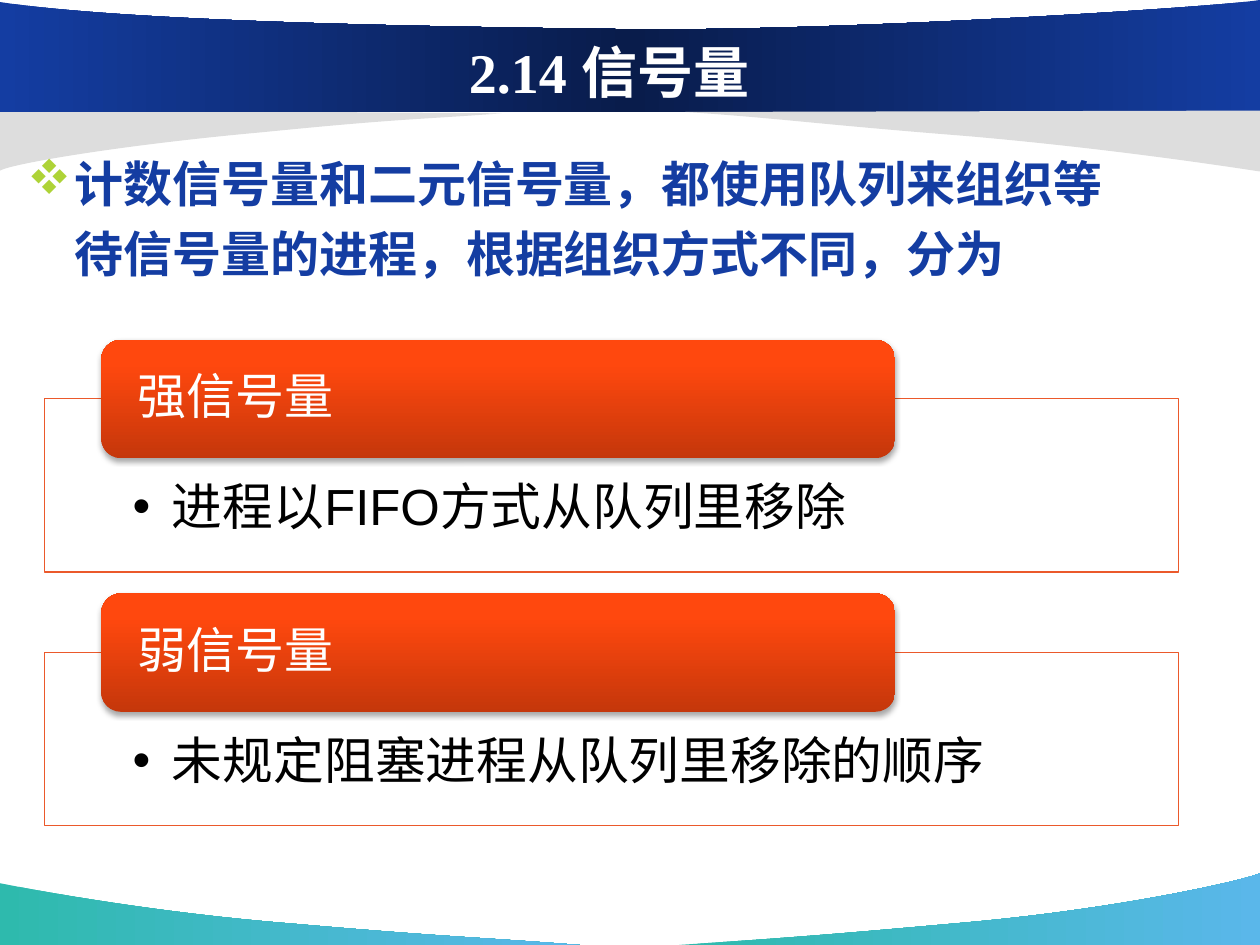
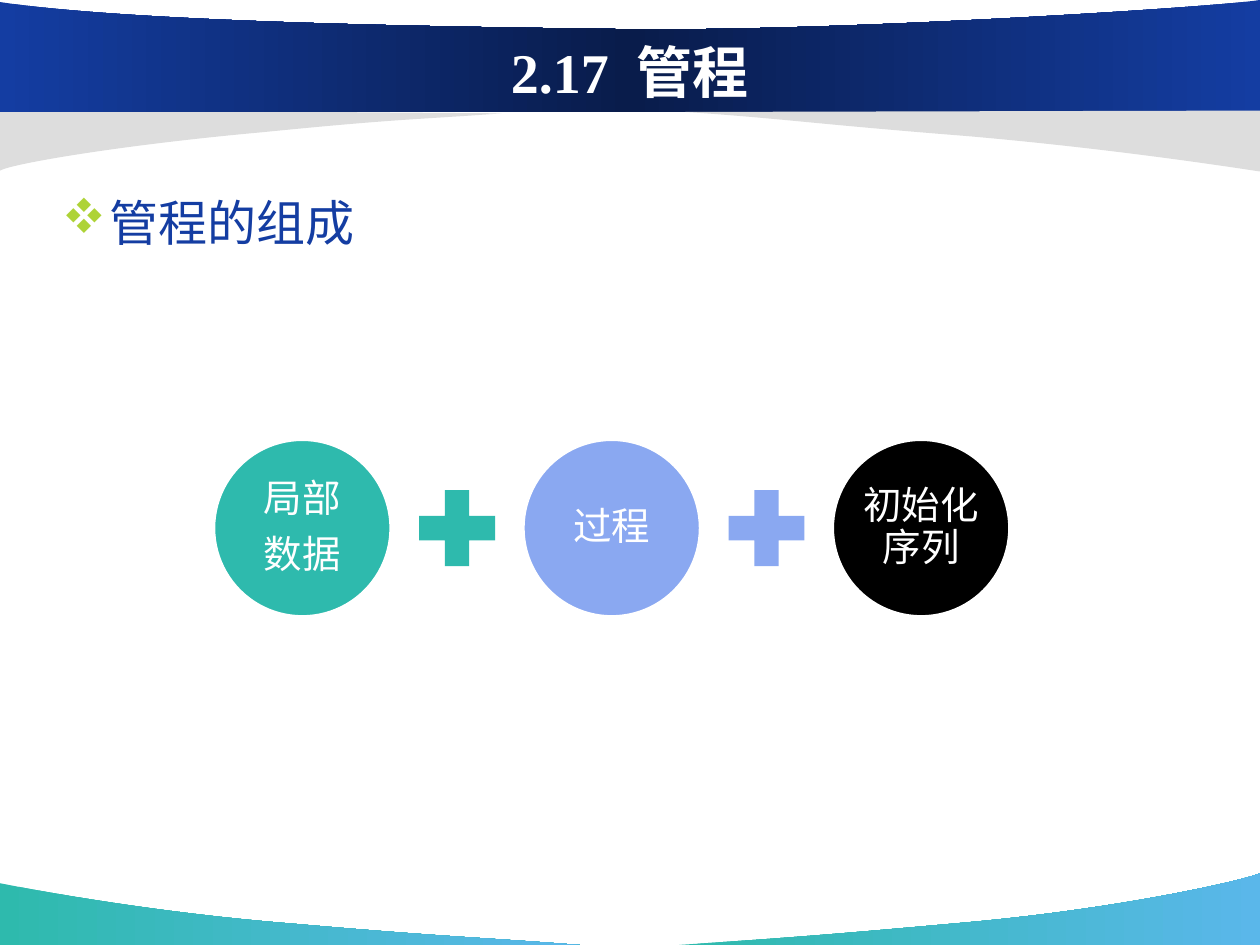
from lxml import etree
from pptx import Presentation
from pptx.dml.color import RGBColor
from pptx.enum.shapes import MSO_SHAPE
from pptx.enum.text import MSO_ANCHOR, PP_ALIGN
from pptx.oxml.ns import qn
from pptx.util import Pt

RECT, ROUNDED = MSO_SHAPE.RECTANGLE, MSO_SHAPE.ROUNDED_RECTANGLE
OVAL, PLUS = MSO_SHAPE.OVAL, MSO_SHAPE.MATH_PLUS
LEFT, CENTER = PP_ALIGN.LEFT, PP_ALIGN.CENTER
TOP, MIDDLE = MSO_ANCHOR.TOP, MSO_ANCHOR.MIDDLE

COLORS = {
    "white": "FFFFFF", "black": "000000", "blue": "143DA2", "navy": "091C4B",
    "teal": "2EBAAD", "sky": "5AB7EA", "gray": "DDDDDD", "lime": "AED337",
    "periwinkle": "8AA8F1", "rust": "C5370B", "orange": "FF480E",
    "bright": "FF4910", "outline": "EB592B",
}
RGB = {name: RGBColor.from_string(value) for name, value in COLORS.items()}


def paint(sp, stops, angle=0):
    sp.shadow.inherit = False
    sp.line.fill.background()
    if len(stops) == 1:
        sp.fill.solid()
        sp.fill.fore_color.rgb = RGB[stops[0][1]]
        return
    sp.fill.gradient()
    sp.fill.gradient_angle = angle
    gs_list = sp._element.spPr.find(qn("a:gradFill")).find(qn("a:gsLst"))
    for gs in list(gs_list):
        gs_list.remove(gs)
    for pos, color in stops:
        gs = etree.SubElement(gs_list, qn("a:gs"), pos=str(pos * 1000))
        etree.SubElement(gs, qn("a:srgbClr"), val=COLORS[color])


def write(sp, text, size, color, anchor=TOP, align=LEFT, spacing=None, after=0,
          insets=(7.2, 3.6, 7.2, 3.6), font="Arial", bold=False, bullet=None):
    tf = sp.text_frame
    tf.word_wrap = True
    tf.vertical_anchor = anchor
    tf.margin_left, tf.margin_top, tf.margin_right, tf.margin_bottom = map(Pt, insets)
    tf.text = text
    for p in tf.paragraphs:
        p.alignment = align
        p.line_spacing = spacing
        p.space_after = Pt(after)
        if bullet:
            char, bullet_font, bullet_color, indent = bullet
            pPr = p._p.get_or_add_pPr()
            pPr.set("marL", str(Pt(indent)))
            pPr.set("indent", str(-Pt(indent)))
            clr = etree.SubElement(pPr, qn("a:buClr"))
            etree.SubElement(clr, qn("a:srgbClr"), val=COLORS[bullet_color])
            etree.SubElement(pPr, qn("a:buFont"), typeface=bullet_font)
            etree.SubElement(pPr, qn("a:buChar"), char=char)
        for r in p.runs:
            r.font.name = font
            r.font.size = Pt(size)
            r.font.bold = bold
            r.font.color.rgb = RGB[color]


FOOTER = [(0, "teal"), (100, "sky")]
HEADER = [(0, "blue"), (50, "navy"), (100, "blue")]
SHADE = [(0, "gray")]
BANDS = [
    (FOOTER, [(331.2, 540), (276.5, 535.7, 257.8, 535.7, 167, 527.8),
              (76.3, 520.6, 0.7, 504.7, 0, 504.7), (0, 540)]),
    (FOOTER, [(388, 540), (442, 536.4, 465, 535, 553.7, 527),
              (642.2, 519, 712.8, 502.6, 720, 499), (720, 540)]),
    (SHADE, [(286.6, 64.8), (238.3, 68.4, 229, 67.7, 149.8, 75.6),
             (69.8, 82.8, 6.5, 93.6, 0, 97.5), (0, 62.6)]),
    (HEADER, [(0, 64), (720, 64), (720, 0), (694, 4.3, 470.2, 18.7, 350.6, 16.6),
              (231, 15.1, 72.7, 12.2, 0, 1.2)]),
    (SHADE, [(391.7, 64), (447.2, 67.7, 462.2, 70.6, 553, 77.8),
             (643.7, 85.7, 719.3, 98, 720, 98), (720, 63.2)]),
]

PAGES = [
    ("2.14 信号量", (66.2, 18.2, 563.8, 44.6),
     "计数信号量和二元信号量，都使用队列来组织等待信号量的进程，根据组织方式不同，分为",
     (8.6, 77.2, 648, 102.2), True),
    ("2.17  管程", (36, 3.8, 648, 73.4),
     "管程的组成", (28.4, 99.9, 691.6, 129.6), False),
]

prs = Presentation()
prs.slide_width, prs.slide_height = Pt(720), Pt(540)

for title, title_box, lead, lead_box, lead_bold in PAGES:
    s = prs.slides.add_slide(prs.slide_layouts[6])
    for stops, outline in BANDS:
        points = [(Pt(part[i]), Pt(part[i + 1]))
                  for part in outline for i in range(0, len(part), 2)]
        band = s.shapes.build_freeform(*points[0])
        band.add_line_segments(points[1:], close=True)
        sp = band.convert_to_shape()
        segments = iter(list(sp._element.iter(qn("a:lnTo"))))
        for part in outline[1:]:
            first = next(segments)
            if len(part) == 6:
                curve = etree.Element(qn("a:cubicBezTo"))
                first.addprevious(curve)
                for line in (first, next(segments), next(segments)):
                    curve.append(line[0])
                    line.getparent().remove(line)
        paint(sp, stops)

    sp = s.shapes.add_textbox(*map(Pt, title_box))
    write(sp, title, 32, "white", MIDDLE, CENTER, font="Times New Roman", bold=True)
    sp = s.shapes.add_textbox(*map(Pt, lead_box))
    write(sp, lead, 28, "blue", spacing=1.2, bold=lead_bold,
          bullet=("v", "Wingdings", "lime", 27))

semaphores, monitor = prs.slides

KINDS = [("强信号量", "进程以FIFO方式从队列里移除"),
         ("弱信号量", "未规定阻塞进程从队列里移除的顺序")]
for i, (kind, rule) in enumerate(KINDS):
    top = 194.2 + i * 144.9
    sp = semaphores.shapes.add_shape(RECT, Pt(25.5), Pt(top + 33.7), Pt(648), Pt(98.9))
    paint(sp, [(0, "white")])
    fill_color = sp._element.spPr.find(qn("a:solidFill"))[0]
    etree.SubElement(fill_color, qn("a:alpha"), val="90000")
    sp.line.color.rgb = RGB["outline"]
    sp.line.width = Pt(0.75)
    write(sp, rule, 29, "black", spacing=0.9, after=4.35,
          insets=(50.3, 47.5, 50.3, 16.5), bullet=("•", "Arial", "black", 22.5))

    sp = semaphores.shapes.add_shape(ROUNDED, Pt(57.9), Pt(top), Pt(453.6), Pt(67.7))
    paint(sp, [(0, "rust"), (80, "orange"), (100, "bright")], 90)
    effects = sp._element.spPr.find(qn("a:effectLst"))
    shadow = etree.SubElement(effects, qn("a:outerShdw"), blurRad=str(Pt(3.1)),
                              dist=str(Pt(1.8)), dir="5400000", rotWithShape="0")
    clr = etree.SubElement(shadow, qn("a:srgbClr"), val=COLORS["black"])
    etree.SubElement(clr, qn("a:alpha"), val="35000")
    write(sp, kind, 28, "white", MIDDLE, spacing=0.9, after=9.8, insets=(17.3, 0, 17.3, 0))

PARTS = [("局部\n数据", "teal"), ("过程", "periwinkle"), ("初始化序列", "black")]
for i, (part, color) in enumerate(PARTS):
    left = 122 + i * 176.8
    sp = monitor.shapes.add_shape(OVAL, Pt(left), Pt(251), Pt(101.5), Pt(101.5))
    paint(sp, [(0, color)])
    sp.line.color.rgb = RGB["white"]
    sp.line.width = Pt(2)
    write(sp, part, 22, "white", MIDDLE, CENTER, 0.9, 7.7, insets=(2, 2, 2, 2))
    if i < len(PARTS) - 1:
        sp = monitor.shapes.add_shape(PLUS, Pt(left + 109.7), Pt(272.3), Pt(59), Pt(59))
        paint(sp, [(0, color)])

prs.save("out.pptx")
